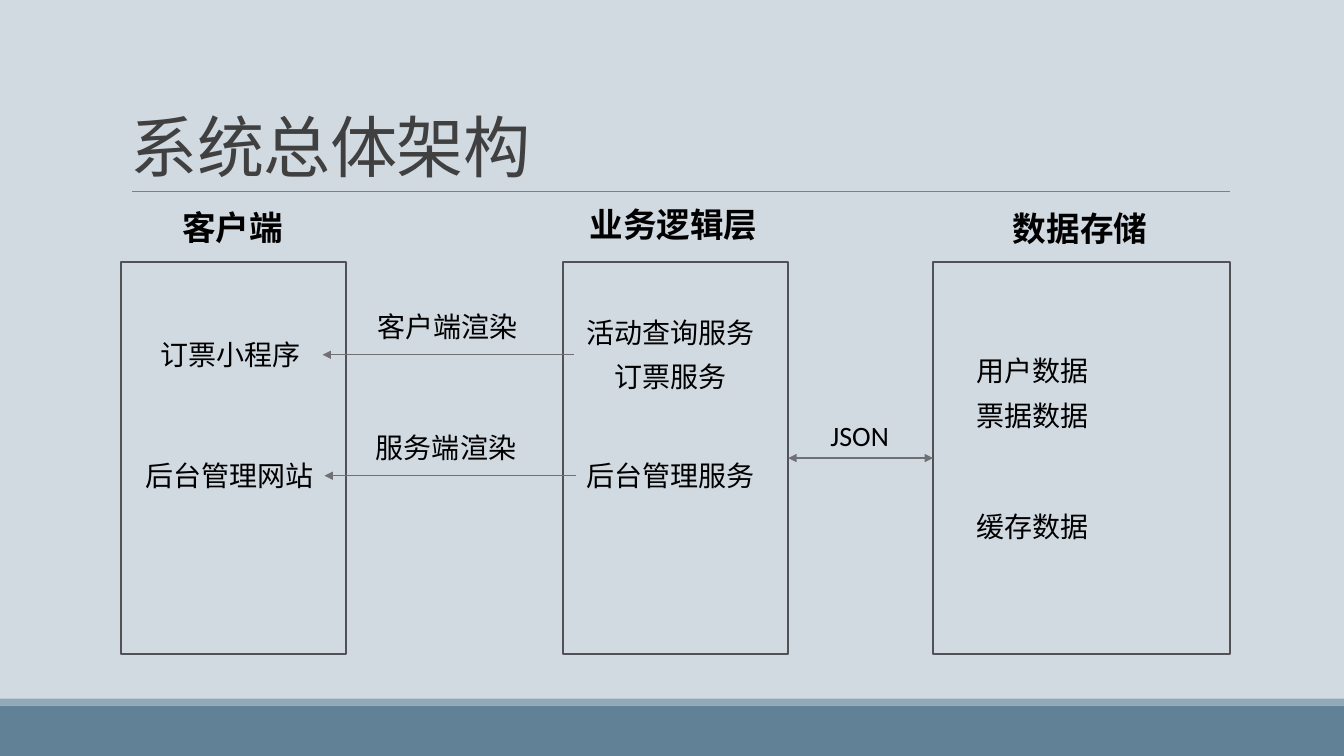
import pptx
import pptx.util
import pptx.dml.color
import pptx.enum.shapes
import pptx.enum.text
import pptx.oxml
import pptx.oxml.ns

Pt = pptx.util.Pt
RGBColor = pptx.dml.color.RGBColor

BACKGROUND = RGBColor(0xD1, 0xD9, 0xE1)
BAND = RGBColor(0x61, 0x81, 0x97)
BAND_EDGE = RGBColor(0x92, 0xA9, 0xB9)
RULE = RGBColor(0x80, 0x80, 0x80)
TITLE = RGBColor(0x40, 0x40, 0x40)
INK = RGBColor(0, 0, 0)
FRAME = RGBColor(0x52, 0x52, 0x56)
ARROW = RGBColor(0x6F, 0x6F, 0x74)


def add_text(box, text, size=20, color=INK, bold=False, font="Calibri", line_spacing=None, tracking=None):
    para = box.text_frame.paragraphs[0]
    if line_spacing:
        para.line_spacing = line_spacing
    span = para.add_run()
    span.text = text
    span.font.size = Pt(size)
    span.font.name = font
    span.font.bold = bold
    span.font.color.rgb = color
    if tracking:
        span.font._element.set("spc", str(tracking))


class Slide:
    def __init__(self, page):
        self.page = page
        page.background.fill.solid()
        page.background.fill.fore_color.rgb = BACKGROUND

    def rectangle(self, left, top, width, height, fill=None, line=None):
        box = self.page.shapes.add_shape(
            pptx.enum.shapes.MSO_SHAPE.RECTANGLE, Pt(left), Pt(top), Pt(width), Pt(height))
        box.shadow.inherit = False
        if fill is None:
            box.fill.background()
        else:
            box.fill.solid()
            box.fill.fore_color.rgb = fill
        if line is None:
            box.line.fill.background()
        else:
            box.line.color.rgb = line
            box.line.width = Pt(1.25)
        return box

    def title(self, text):
        box = self.page.shapes.add_textbox(Pt(86.4), Pt(22.3), Pt(792), Pt(114.5))
        box.text_frame.word_wrap = True
        box.text_frame.vertical_anchor = pptx.enum.text.MSO_ANCHOR.BOTTOM
        add_text(box, text, size=48, color=TITLE, line_spacing=0.85, tracking=-50)

    def label(self, text, left, top, width=None, size=20, bold=False):
        width = width or len(text) * size + 15
        box = self.page.shapes.add_textbox(Pt(left), Pt(top), Pt(width), Pt(size * 1.5 + 1))
        box.text_frame.word_wrap = False
        box.text_frame.auto_size = pptx.enum.text.MSO_AUTO_SIZE.SHAPE_TO_FIT_TEXT
        add_text(box, text, size=size, bold=bold)

    def line(self, start, end, y, color=ARROW, weight=1, ends=()):
        connector = self.page.shapes.add_connector(
            pptx.enum.shapes.MSO_CONNECTOR.STRAIGHT, Pt(start), Pt(y), Pt(end), Pt(y))
        connector.line.color.rgb = color
        connector.line.width = Pt(weight)
        outline = connector.line._get_or_add_ln()
        for end_name in ends:
            arrowhead = pptx.oxml.parse_xml(
                f'<a:{end_name} {pptx.oxml.ns.nsdecls("a")} type="triangle"/>')
            outline.append(arrowhead)
        connector._element.spPr.append(
            pptx.oxml.parse_xml(f'<a:effectLst {pptx.oxml.ns.nsdecls("a")}/>'))
        return connector


def main():
    deck = pptx.Presentation()
    deck.slide_width, deck.slide_height = Pt(960), Pt(540)
    slide = Slide(deck.slides.add_slide(deck.slide_layouts[6]))

    slide.rectangle(0, 504, 960, 36, fill=BAND)
    slide.rectangle(0, 499, 960, 5, fill=BAND_EDGE)
    slide.line(94.3, 878.9, 136.8, color=RULE, weight=0.5)
    slide.title("系统总体架构")

    for text, left, top in (("客户端", 123.1, 144), ("业务逻辑层", 414, 142), ("数据存储", 716.4, 144.7)):
        slide.label(text, left, top, size=24, bold=True)

    client, logic, storage = [
        slide.rectangle(left, 187.2, width, 280, line=FRAME)
        for left, width in ((86.4, 161), (402, 161), (666.5, 212))]

    for text, left, top in (
        ("订票小程序", 107.3, 237.6),
        ("后台管理网站", 96.5, 324),
        ("活动查询服务", 412, 221.8),
        ("订票服务", 432, 253.4),
        ("后台管理服务", 412, 324),
        ("用户数据", 690.5, 249.1),
        ("票据数据", 690.5, 280.8),
        ("缓存数据", 690.5, 360.7),
        ("客户端渲染", 262.8, 217.4),
        ("服务端渲染", 261.4, 303.8),
    ):
        slide.label(text, left, top)
    slide.label("JSON", 586.1, 295.2, width=57)

    slide.line(409.7, 230.4, 253.4, ends=("tailEnd",))
    slide.line(411.8, 231.8, 339.8, ends=("tailEnd",))
    exchange = slide.line(563, 666.5, 327.2, ends=("headEnd", "tailEnd"))
    exchange.begin_connect(logic, 3)
    exchange.end_connect(storage, 1)

    deck.save("out.pptx")


if __name__ == "__main__":
    main()
